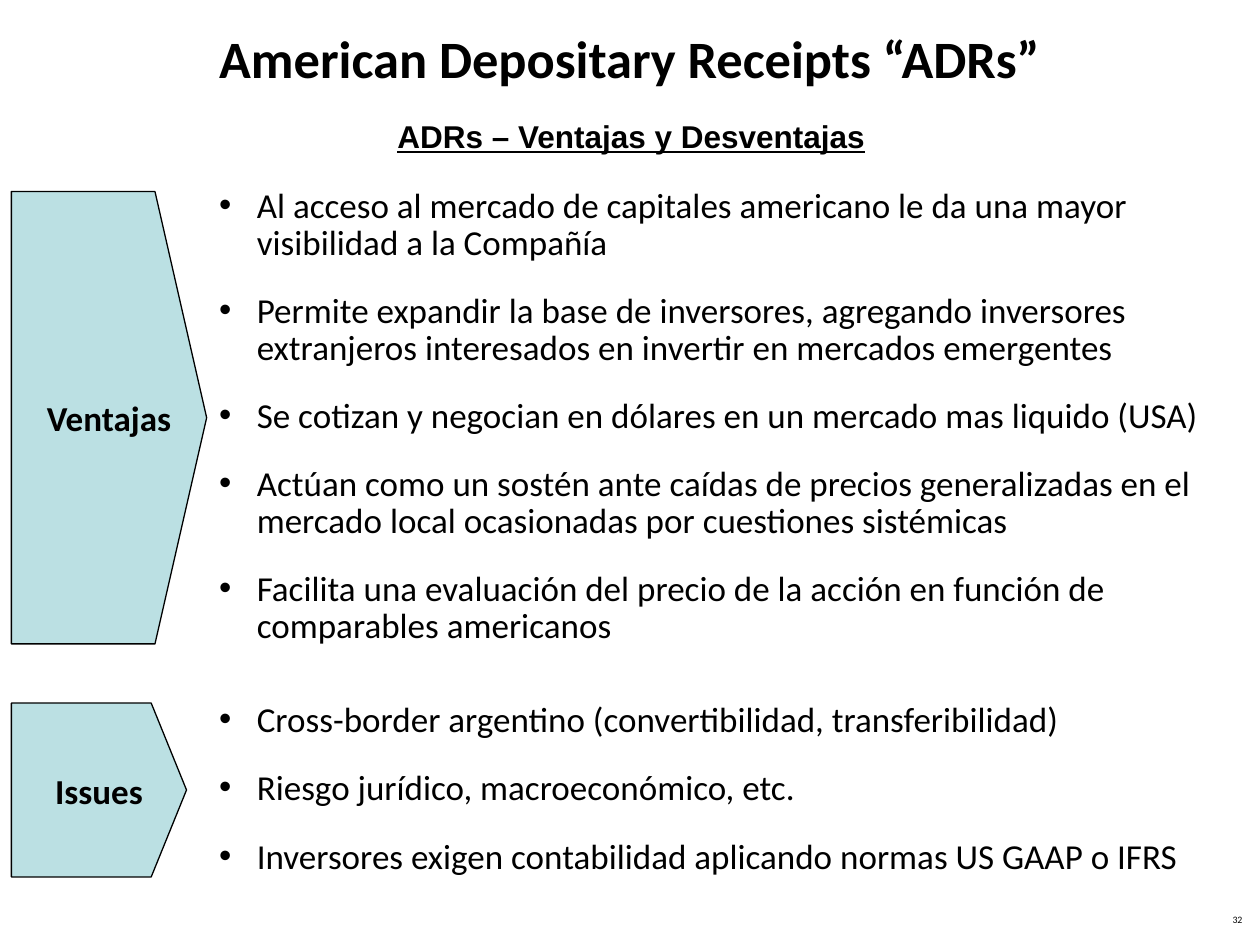
from lxml.etree import SubElement
from pptx import Presentation
from pptx.dml.color import RGBColor
from pptx.enum.text import MSO_ANCHOR, PP_ALIGN
from pptx.oxml.ns import qn
from pptx.util import Inches, Pt

COLUMNS, ROWS = 100, 75


def color(value):
    """Turn a hex string into a colour."""
    return RGBColor.from_string(value)


class Deck:
    """Style and current slide, measured on a grid of columns and rows."""

    ink, accent, font = "000000", "BBE0E3", "Calibri"

    def __init__(self):
        """Start a deck with one blank slide."""
        self.deck = Presentation()
        self.deck.slide_width, self.deck.slide_height = Inches(10), Inches(7.5)
        self.slide = self.deck.slides.add_slide(self.deck.slide_layouts[6])

    def x(self, columns):
        """Convert columns to a length."""
        return round(self.deck.slide_width * columns / COLUMNS)

    def y(self, rows):
        """Convert rows to a length."""
        return round(self.deck.slide_height * rows / ROWS)

    def style(self, paragraph, size, align, bold=False, underline=False, font=None):
        """Format a paragraph and its runs."""
        paragraph.alignment = align
        for run in paragraph.runs:
            run.font.name = font or self.font
            run.font.size = Pt(size)
            run.font.bold, run.font.underline = bold, underline
            run.font.color.rgb = color(self.ink)

    def text(self, left, top, width, height, lines, size, align=PP_ALIGN.CENTER,
             anchor=MSO_ANCHOR.TOP, **look):
        """Add a wrapped text box and return its paragraphs."""
        frame = self.slide.shapes.add_textbox(
            self.x(left), self.y(top), self.x(width), self.y(height)).text_frame
        frame.word_wrap = True
        frame.vertical_anchor = anchor
        frame.text = "\n".join(lines)
        for paragraph in frame.paragraphs:
            self.style(paragraph, size, align, **look)
        return frame.paragraphs

    def bullets(self, left, top, width, height, lines):
        """Add a bulleted list with a hanging indent."""
        for paragraph in self.text(left, top, width, height, lines, 20, PP_ALIGN.LEFT):
            paragraph.line_spacing, paragraph.space_before = Pt(21), Pt(18)
            properties = paragraph._p.get_or_add_pPr()
            properties.set("marL", str(self.x(3)))
            properties.set("indent", str(-self.x(3)))
            SubElement(properties, qn("a:buFont"), typeface="Arial")
            SubElement(properties, qn("a:buChar"), char="•")

    def pointer(self, left, top, width, height, tip, label):
        """Add a labelled pentagon pointing right."""
        shoulder, right, bottom = left + width - tip, left + width, top + height
        outline = self.slide.shapes.build_freeform(self.x(left), self.y(top))
        corners = [(shoulder, top), (right, top + height / 2),
                   (shoulder, bottom), (left, bottom)]
        outline.add_line_segments([(self.x(c), self.y(r)) for c, r in corners])
        shape = outline.convert_to_shape()
        shape.shadow.inherit = False
        shape.fill.solid()
        shape.fill.fore_color.rgb = color(self.accent)
        shape.line.color.rgb = color(self.ink)
        shape.line.width = Pt(0.75)
        frame = shape.text_frame
        frame.word_wrap = False
        frame.vertical_anchor = MSO_ANCHOR.MIDDLE
        frame.text = label
        self.style(frame.paragraphs[0], 20, PP_ALIGN.CENTER, bold=True)


def main():
    """Build the slide on advantages and issues of ADRs."""
    deck = Deck()
    deck.text(5, 0, 90, 9.1, ["American Depositary Receipts “ADRs”"], 30,
              anchor=MSO_ANCHOR.MIDDLE, bold=True)
    deck.text(27.3, 8.8, 45.6, 4, ["ADRs – Ventajas y Desventajas"], 18,
              bold=True, underline=True, font="Arial")
    deck.bullets(16.4, 14.5, 85, 38.3, [
        "Al acceso al mercado de capitales americano le da una mayor visibilidad a la Compañía",
        "Permite expandir la base de inversores, agregando inversores extranjeros "
        "interesados en invertir en mercados emergentes",
        "Se cotizan y negocian en dólares en un mercado mas liquido (USA)",
        "Actúan como un sostén ante caídas de precios generalizadas en el mercado local "
        "ocasionadas por cuestiones sistémicas",
        "Facilita una evaluación del precio de la acción en función de comparables americanos",
    ])
    deck.bullets(16.4, 55.3, 85, 14.3, [
        "Cross-border argentino (convertibilidad, transferibilidad)",
        "Riesgo jurídico, macroeconómico, etc.",
        "Inversores exigen contabilidad aplicando normas US GAAP o IFRS",
    ])
    deck.pointer(0.9, 15.2, 15.5, 35.9, 4.1, "Ventajas")
    deck.pointer(0.9, 55.8, 13.9, 13.8, 2.8, "Issues")
    page_number = deck.text(76.3, 72.2, 23.3, 2.1, ["32"], 5.6, PP_ALIGN.RIGHT)
    page_number[0].line_spacing = 0.8
    deck.deck.save("out.pptx")


if __name__ == "__main__":
    main()
